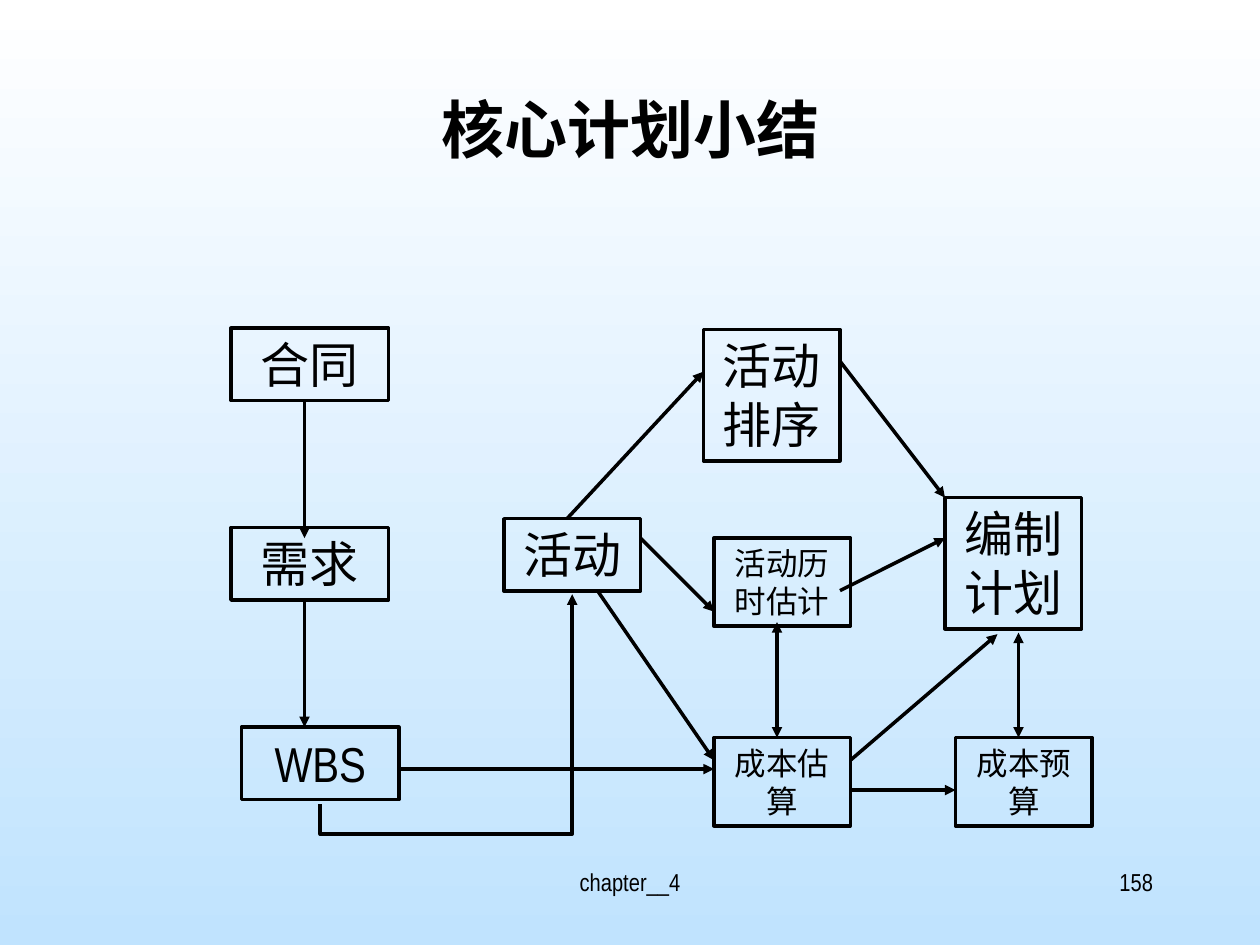
from lxml import etree
from pptx import Presentation
from pptx.dml.color import RGBColor
from pptx.enum.shapes import MSO_CONNECTOR, MSO_SHAPE
from pptx.enum.text import MSO_ANCHOR, MSO_AUTO_SIZE, PP_ALIGN
from pptx.oxml.ns import qn
from pptx.util import Inches, Pt

RECTANGLE = MSO_SHAPE.RECTANGLE
STRAIGHT, ELBOW = MSO_CONNECTOR.STRAIGHT, MSO_CONNECTOR.ELBOW
TOP, GROW, FIXED = MSO_ANCHOR.TOP, MSO_AUTO_SIZE.SHAPE_TO_FIT_TEXT, MSO_AUTO_SIZE.NONE
CENTER, RIGHT = PP_ALIGN.CENTER, PP_ALIGN.RIGHT

GRID = 12
BLACK = "000000"
BACKGROUND = ["FFFFFF", "C0E3FE"]
FONT = "Arial Narrow"
LINE_WIDTH = 2

TITLE = ("核心计划小结", (9, 8, 102, 15))
FOOTERS = [
    ("chapter__4", (41, 82, 38, 6), CENTER),
    ("158", (86, 82, 25, 6), RIGHT),
]
BOX_KINDS = {
    "source": (15, 6.9, 28),
    "activity": (13, 6.9, 28),
    "large": (13, 12.5, 28),
    "small": (13, 8.4, 18),
}
BOXES = [
    ("合同", "source", 22, 31.25),
    ("需求", "source", 22, 50.25),
    ("WBS", "source", 23, 69.25),
    ("活动", "activity", 48, 49.4),
    ("活动排序", "large", 67, 31.4),
    ("活动历时估计", "small", 68, 51.25),
    ("编制计划", "large", 90, 47.4),
    ("成本估算", "small", 68, 70.25),
    ("成本预算", "small", 91, 70.25),
]
ONE_WAY = [
    ((29, 38.25), (29, 51.25)),
    ((29, 57.25), (29, 69.25)),
    ((54, 49.4), (67, 35.4)),
    ((57, 56.4), (68, 72.4)),
    ((61, 51.25), (68, 58.25)),
    ((80, 34.4), (90, 47.4)),
    ((80, 56.25), (90, 51.25)),
    ((81, 72.4), (95, 60.4)),
    ((81, 75.25), (91, 75.25)),
    ((38, 73.25), (68, 73.25)),
]
TWO_WAY = [
    ((97, 70.25), (97, 60.25)),
    ((74, 70.25), (74, 59.25)),
]
WBS_TO_ACTIVITY = ((30.5, 76.6), (54.5, 56.6))
ELBOW_BEND = -14200


def color(value):
    return RGBColor.from_string(value)


def grid(*units):
    return [Inches(unit / GRID) for unit in units]


def write(shape, text, size, align=CENTER, bold=False, fit=FIXED):
    frame = shape.text_frame
    frame_format = {"word_wrap": True, "auto_size": fit, "vertical_anchor": TOP}
    for name, value in frame_format.items():
        setattr(frame, name, value)
    para = frame.paragraphs[0]
    para.alignment = align
    span = para.add_run()
    span.text = text
    for name, value in {"name": FONT, "size": Pt(size), "bold": bold}.items():
        setattr(span.font, name, value)
    span.font.color.rgb = color(BLACK)


def outline(shape):
    shape.line.color.rgb = color(BLACK)
    shape.line.width = Pt(LINE_WIDTH)


def add_arrow(page, start, end, kind=STRAIGHT, ends=("tailEnd",)):
    arrow = page.shapes.add_connector(kind, *grid(*start, *end))
    outline(arrow)
    line = arrow.line._get_or_add_ln()
    for name in ends:
        etree.SubElement(line, qn(f"a:{name}"), type="triangle")
    etree.SubElement(arrow._element.spPr, qn("a:effectLst"))
    return arrow


def add_elbow(page, start, end):
    middle_x, middle_y = [(a + b) / 2 for a, b in zip(start, end)]
    half_x, half_y = [abs(a - b) / 2 for a, b in zip(start, end)]
    turned_start = (middle_x + half_y, middle_y + half_x)
    turned_end = (middle_x - half_y, middle_y - half_x)
    arrow = add_arrow(page, turned_start, turned_end, ELBOW)
    properties = arrow._element.spPr
    properties.find(qn("a:xfrm")).set("rot", str(90 * 60000))
    guides = properties.find(qn("a:prstGeom")).find(qn("a:avLst"))
    etree.SubElement(guides, qn("a:gd"), name="adj1", fmla=f"val {ELBOW_BEND}")


def main():
    deck = Presentation()
    deck.slide_width, deck.slide_height = Inches(10), Inches(7.5)
    page = deck.slides.add_slide(deck.slide_layouts[5])

    fill = page.background.fill
    fill.gradient()
    fill.gradient_angle = 270
    for stop, value in zip(fill.gradient_stops, BACKGROUND):
        stop.color.rgb = color(value)

    text, place = TITLE
    title = page.shapes.title
    for name, value in zip(("left", "top", "width", "height"), grid(*place)):
        setattr(title, name, value)
    write(title, text, 36, bold=True)

    for text, place, align in FOOTERS:
        write(page.shapes.add_textbox(*grid(*place)), text, 14, align)

    for text, kind, left, top in BOXES:
        width, height, size = BOX_KINDS[kind]
        box = page.shapes.add_shape(RECTANGLE, *grid(left, top, width, height))
        box.shadow.inherit = False
        box.fill.background()
        outline(box)
        write(box, text, size, fit=GROW)

    for start, end in ONE_WAY:
        add_arrow(page, start, end)
    for start, end in TWO_WAY:
        add_arrow(page, start, end, ends=("headEnd", "tailEnd"))
    add_elbow(page, *WBS_TO_ACTIVITY)

    deck.save("out.pptx")


if __name__ == "__main__":
    main()
